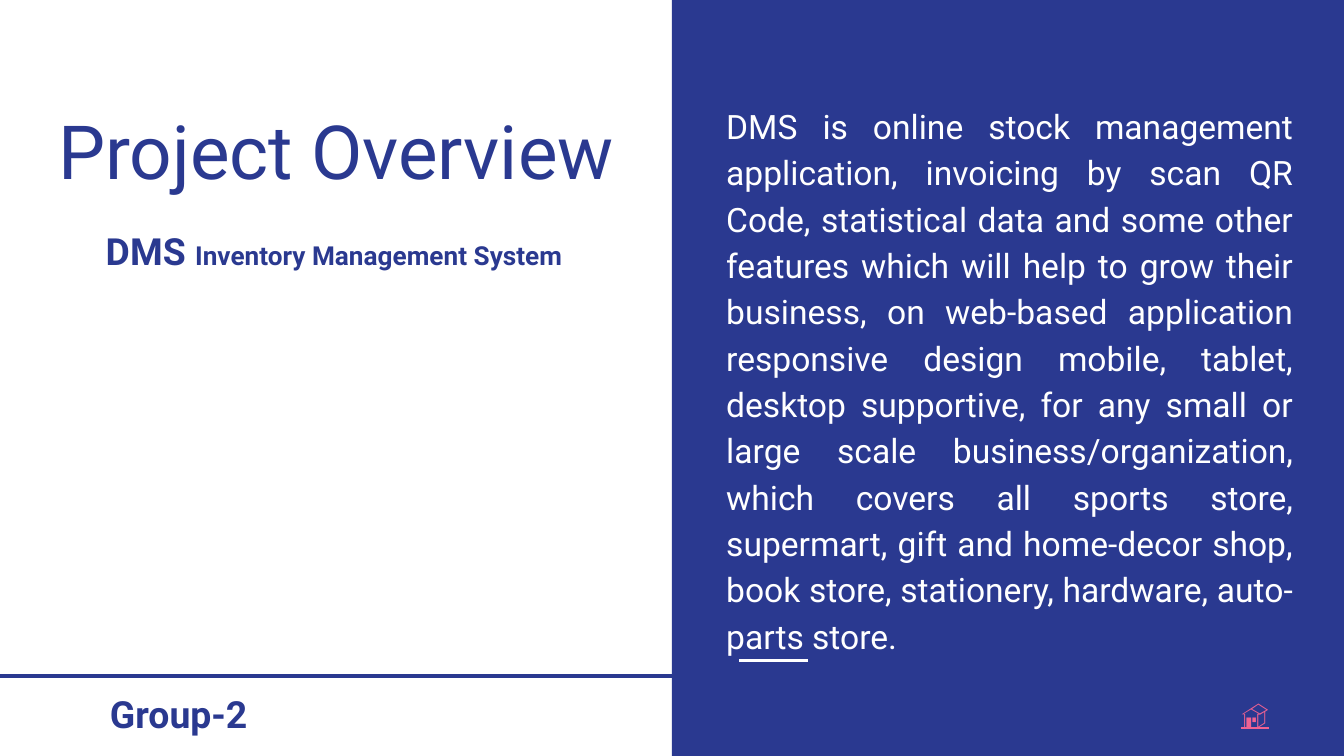
from lxml.etree import SubElement
from pptx import Presentation
from pptx.dml.color import RGBColor
from pptx.enum.shapes import MSO_CONNECTOR as Connector, MSO_SHAPE as Shape
from pptx.enum.text import MSO_ANCHOR as Anchor, MSO_AUTO_SIZE as AutoSize, PP_ALIGN as Align
from pptx.oxml.ns import qn
from pptx.util import Pt

BLUE = "2A3990"
WHITE = "FFFFFF"
PINK = "F06292"
WIDTH, HEIGHT = 720, 405
INSET = 7.2
OVERVIEW = (
    "DMS is online stock management application, invoicing by scan QR Code, "
    "statistical data and some other features which will help to grow their business, "
    "on web-based application responsive design mobile, tablet, desktop supportive, "
    "for any small or large scale business/organization, which covers all sports store, "
    "supermart, gift and home-decor shop, book store, stationery, hardware, auto-parts store."
)


def color(value):
    return RGBColor.from_string(value)


def add_panel(slide, left, top, width, height, fill):
    panel = slide.shapes.add_shape(Shape.RECTANGLE, Pt(left), Pt(top), Pt(width), Pt(height))
    panel.shadow.inherit = False
    panel.fill.solid()
    panel.fill.fore_color.rgb = color(fill)
    panel.line.fill.background()


def add_rule(slide, left, right, y, line_color, weight):
    rule = slide.shapes.add_connector(Connector.STRAIGHT, Pt(left), Pt(y), Pt(right), Pt(y))
    rule.line.color.rgb = color(line_color)
    rule.line.width = Pt(weight)
    SubElement(rule._element.spPr, qn("a:effectLst"))


def format_frame(shape, align, anchor):
    frame = shape.text_frame
    frame.word_wrap = True
    frame.auto_size = AutoSize.NONE
    frame.vertical_anchor = anchor
    frame.margin_left = frame.margin_right = Pt(INSET)
    frame.margin_top = frame.margin_bottom = Pt(INSET)
    paragraph = frame.paragraphs[0]
    paragraph.alignment = align
    return paragraph


def add_run(paragraph, text, size, font_color, bold=False, name="Roboto"):
    run = paragraph.add_run()
    run.text = text
    run.font.size = Pt(size)
    run.font.name = name
    run.font.bold = bold
    run.font.color.rgb = color(font_color)
    return run


def add_text(slide, left, top, width, height, align, anchor=Anchor.TOP):
    box = slide.shapes.add_textbox(Pt(left), Pt(top), Pt(width), Pt(height))
    return format_frame(box, align, anchor)


def set_title(slide, text, left, top, width, height):
    title = slide.shapes.title
    title.left, title.top, title.width, title.height = Pt(left), Pt(top), Pt(width), Pt(height)
    paragraph = format_frame(title, Align.CENTER, Anchor.BOTTOM)
    add_run(paragraph, text, 40, BLUE)


def main():
    presentation = Presentation()
    presentation.slide_width, presentation.slide_height = Pt(WIDTH), Pt(HEIGHT)
    slide = presentation.slides.add_slide(presentation.slide_layouts[5])

    add_panel(slide, WIDTH / 2, 0, WIDTH / 2, HEIGHT, BLUE)
    add_rule(slide, 396, 432.7, 354, WHITE, 1.5)
    set_title(slide, "Project Overview", 21, 45.5, 318, 66)

    overview = add_text(slide, 382, 57, 318, 291, Align.JUSTIFY, Anchor.MIDDLE)
    overview.line_spacing = 1.15
    overview.space_after = Pt(16)
    add_run(overview, OVERVIEW, 18, WHITE)

    group = add_text(slide, 3.5, 363, 184.5, 43, Align.CENTER)
    add_run(group, "Group-2", 20, BLUE, bold=True)
    add_rule(slide, 0, WIDTH / 2, 362, BLUE, 2.25)

    subtitle = add_text(slide, 3, 115, 352, 43, Align.CENTER)
    add_run(subtitle, "DMS ", 20, BLUE, bold=True)
    add_run(subtitle, "Inventory Management System", 14, BLUE, bold=True)

    home = add_text(slide, 657.5, 366, 38, 32, Align.LEFT)
    add_run(home, "🏠", 15, PINK, name="Arial").font.underline = True

    presentation.save("out.pptx")


if __name__ == "__main__":
    main()
